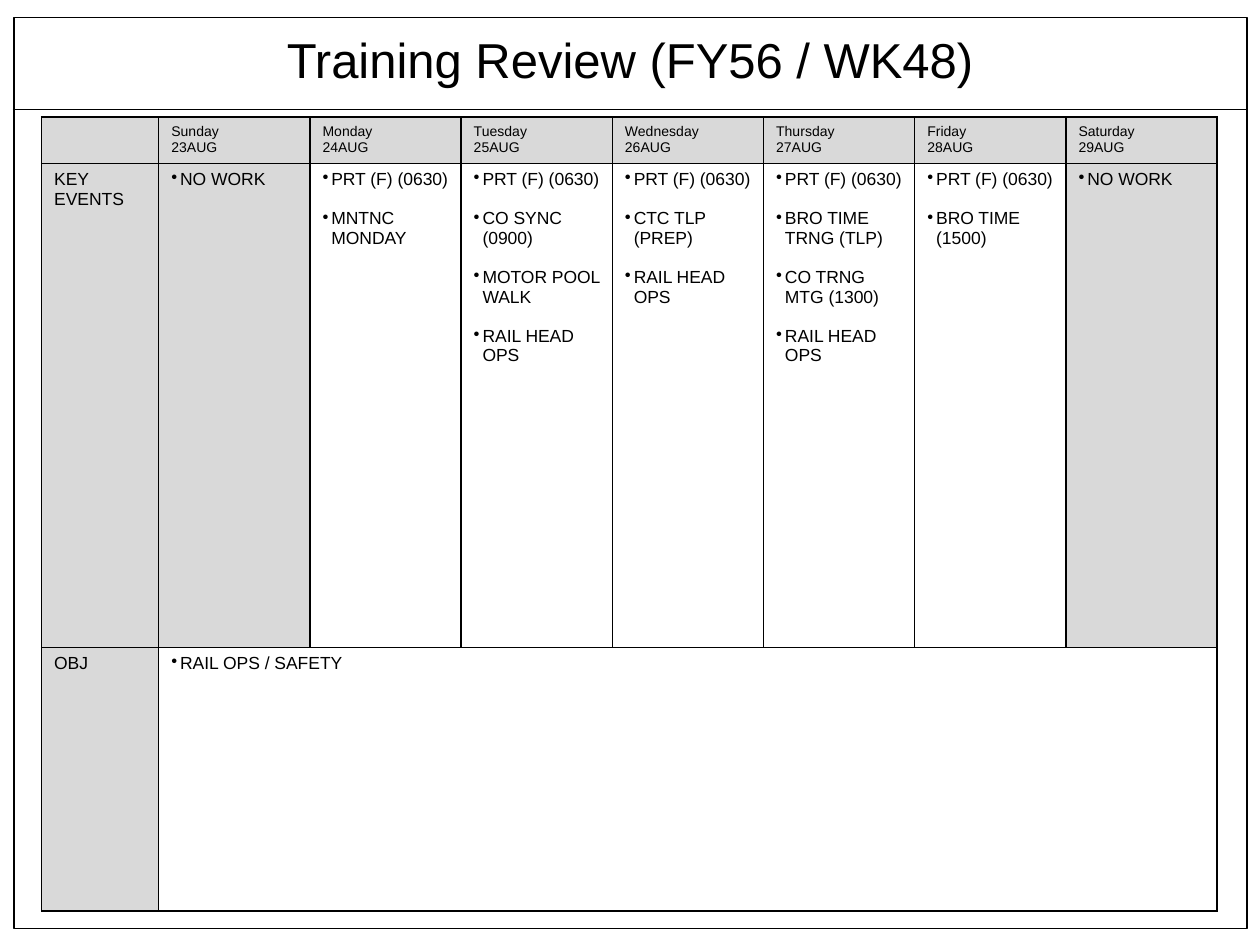
import pptx
import pptx.dml.color
import pptx.enum.shapes
import pptx.enum.text
import pptx.oxml
import pptx.oxml.ns
import pptx.util
from lxml import etree

Inches = pptx.util.Inches
Pt = pptx.util.Pt
qn = pptx.oxml.ns.qn

FONT = "Arial"
BLACK, GREY, WHITE = "000000", "D9D9D9", "FFFFFF"
LABEL_WIDTH, DAY_WIDTH = 0.93, 1.2
ROW_HEIGHTS = [0.37, 3.84, 2.09]
FIRST_DATE = 23
PRT = "PRT (F) (0630)"
RAIL = "RAIL HEAD OPS"
WEEK = {
    "Sunday": ["NO WORK"],
    "Monday": [PRT, "MNTNC MONDAY"],
    "Tuesday": [PRT, "CO SYNC (0900)", "MOTOR POOL WALK", RAIL],
    "Wednesday": [PRT, "CTC TLP (PREP)", RAIL],
    "Thursday": [PRT, "BRO TIME TRNG (TLP)", "CO TRNG MTG (1300)", RAIL],
    "Friday": [PRT, "BRO TIME (1500)"],
    "Saturday": ["NO WORK"],
}
OBJECTIVES = ["RAIL OPS / SAFETY"]


def color(value):
    return pptx.dml.color.RGBColor.from_string(value)


def set_font(para, size):
    para.font.name = FONT
    para.font.size = Pt(size)
    para.font.color.rgb = color(BLACK)


def set_line(shape):
    shape.line.color.rgb = color(BLACK)
    shape.line.width = Pt(1)


def add_frame(page):
    """Draw the page border and the rule under the title."""
    frame = page.shapes.add_shape(
        pptx.enum.shapes.MSO_SHAPE.RECTANGLE,
        Inches(0.11), Inches(0.14), Inches(9.79), Inches(7.23))
    frame.shadow.inherit = False
    frame.fill.background()
    set_line(frame)
    rule = page.shapes.add_connector(
        pptx.enum.shapes.MSO_CONNECTOR.STRAIGHT,
        Inches(0.1), Inches(0.87), Inches(9.89), Inches(0.87))
    set_line(rule)
    etree.SubElement(rule._element.spPr, qn("a:effectLst"))


def set_title(page, text):
    title = page.shapes.title
    title.left, title.top = Inches(2.09), Inches(0.18)
    title.width, title.height = Inches(5.82), Inches(0.57)
    box = title.text_frame
    box.text = text
    box.word_wrap = False
    box.auto_size = pptx.enum.text.MSO_AUTO_SIZE.SHAPE_TO_FIT_TEXT
    box.vertical_anchor = pptx.enum.text.MSO_ANCHOR.MIDDLE
    para = box.paragraphs[0]
    para.alignment = pptx.enum.text.PP_ALIGN.CENTER
    set_font(para, 28)


def add_bullet(para):
    props = para._p.get_or_add_pPr()
    indent = Inches(0.07)
    props.set("marL", str(indent))
    props.set("indent", str(-indent))
    etree.SubElement(props, qn("a:buChar"), char="•")


def add_borders(cell):
    props = cell._tc.get_or_add_tcPr()
    for side in ("lnL", "lnR", "lnT", "lnB"):
        line = etree.SubElement(props, qn("a:" + side), w=str(Pt(1)))
        fill = etree.SubElement(line, qn("a:solidFill"))
        etree.SubElement(fill, qn("a:srgbClr"), val=BLACK)


def fill_cell(cell, lines, size, fill, bullets=False):
    cell.fill.solid()
    cell.fill.fore_color.rgb = color(fill)
    cell.text = "\n".join(lines)
    for index, para in enumerate(cell.text_frame.paragraphs):
        if bullets:
            add_bullet(para)
            if index:
                para.space_before = Pt(11.2)
        set_font(para, size)


def add_schedule(page):
    width = LABEL_WIDTH + DAY_WIDTH * len(WEEK)
    table = page.shapes.add_table(
        len(ROW_HEIGHTS), len(WEEK) + 1, Inches(0.33), Inches(0.93),
        Inches(width), Inches(sum(ROW_HEIGHTS))).table
    table.first_row = table.horz_banding = False
    for row, height in zip(table.rows, ROW_HEIGHTS):
        row.height = Inches(height)
    for index, column in enumerate(table.columns):
        column.width = Inches(DAY_WIDTH if index else LABEL_WIDTH)
    for cell in table.iter_cells():
        add_borders(cell)

    corner = table.cell(0, 0)
    corner.margin_top = corner.margin_bottom = 0
    fill_cell(corner, [], 8, GREY)
    fill_cell(table.cell(1, 0), ["KEY EVENTS"], 10, GREY)
    fill_cell(table.cell(2, 0), ["OBJ"], 10, GREY)
    for index, (day, events) in enumerate(WEEK.items()):
        date = f"{FIRST_DATE + index}AUG"
        fill_cell(table.cell(0, index + 1), [day, date], 8, GREY)
        fill = GREY if events == ["NO WORK"] else WHITE
        fill_cell(table.cell(1, index + 1), events, 10, fill, bullets=True)
    objective = table.cell(2, 1)
    objective.merge(table.cell(2, len(WEEK)))
    fill_cell(objective, OBJECTIVES, 10, WHITE, bullets=True)


def main():
    deck = pptx.Presentation()
    deck.slide_width, deck.slide_height = Inches(10), Inches(7.5)
    page = deck.slides.add_slide(deck.slide_layouts[5])
    add_frame(page)
    set_title(page, "Training Review (FY56 / WK48)")
    add_schedule(page)
    deck.save("out.pptx")


if __name__ == "__main__":
    main()
